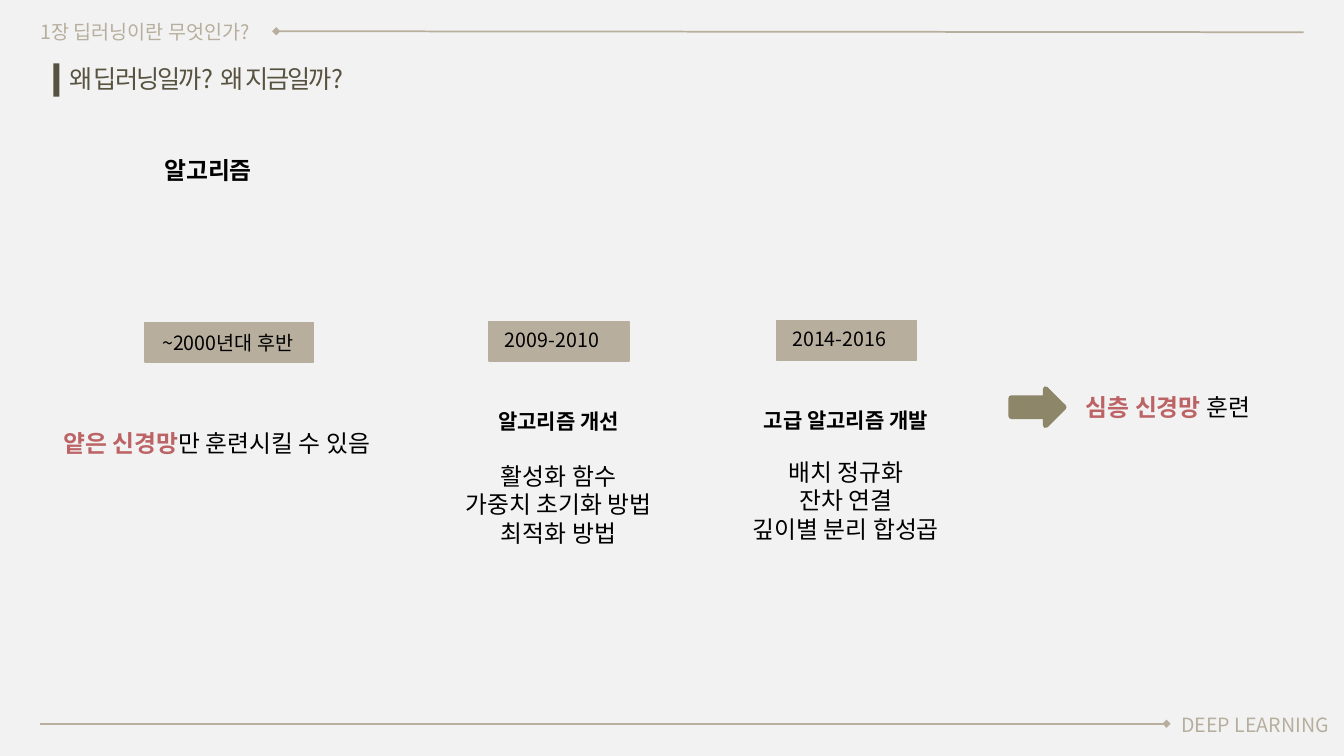
from lxml import etree
from pptx import Presentation
from pptx import util as u
from pptx.dml.color import RGBColor
from pptx.enum import shapes, text
from pptx.oxml.ns import qn

PAPER = RGBColor(0xF2, 0xF2, 0xF2)
SAND = RGBColor(0xB7, 0xAE, 0x9D)
BROWN = RGBColor(0x58, 0x53, 0x40)
BAR = RGBColor(0x57, 0x51, 0x41)
OLIVE = RGBColor(0x8D, 0x86, 0x69)
ROSE = RGBColor(0xBC, 0x63, 0x65)
BLACK = RGBColor(0, 0, 0)

FONT = "Noto Sans CJK KR"
COLUMNS, ROWS = 133.3, 75
CENTER = text.PP_ALIGN.CENTER


class SlideBuilder:
    """Draws on one slide; lengths are columns and rows of its grid."""

    def __init__(self, deck):
        self.column = deck.slide_width / COLUMNS
        self.row = deck.slide_height / ROWS
        self.page = deck.slides.add_slide(deck.slide_layouts[6])
        self.page.background.fill.solid()
        self.page.background.fill.fore_color.rgb = PAPER

    def place(self, *lengths):
        """Turn alternating columns and rows into slide units."""
        units = (self.column, self.row) * 2
        return [u.Emu(round(length * unit)) for length, unit in zip(lengths, units)]

    def span(self, para, words, size, color=BLACK, bold=False, spacing=None):
        run = para.add_run()
        run.text = words
        run.font.color.rgb = color
        for name, value in {"name": FONT, "size": u.Pt(size), "bold": bold}.items():
            setattr(run.font, name, value)
        properties = run.font._element
        etree.SubElement(properties, qn("a:ea")).set("typeface", FONT)
        if spacing is not None:
            properties.set("spc", str(round(spacing * 100)))

    def text(self, place, paragraphs, align=None, wrap=True, gap=0):
        """Each paragraph is a list of span arguments; gap follows the first one."""
        frame = self.page.shapes.add_textbox(*self.place(*place)).text_frame
        frame.word_wrap = wrap
        frame.auto_size = text.MSO_AUTO_SIZE.SHAPE_TO_FIT_TEXT
        for index, spans in enumerate(paragraphs):
            para = frame.paragraphs[0] if index == 0 else frame.add_paragraph()
            para.alignment = align
            if index == 1:
                para.space_before = u.Pt(gap)
            for span in spans:
                self.span(para, **span)

    def shape(self, kind, place, color, outline=0):
        shape = self.page.shapes.add_shape(kind, *self.place(*place))
        shape.shadow.inherit = False
        shape.fill.solid()
        shape.fill.fore_color.rgb = color
        if outline:
            shape.line.color.rgb = color
            shape.line.width = u.Pt(outline)
        else:
            shape.line.fill.background()

    def rule(self, start, end, diamond):
        """diamond is headEnd or tailEnd, the end that carries the mark."""
        rule = self.page.shapes.add_connector(
            shapes.MSO_CONNECTOR.STRAIGHT, *self.place(*start, *end))
        rule.line.color.rgb = SAND
        rule.line.width = u.Pt(1.25)
        etree.SubElement(rule.line._get_or_add_ln(), qn(f"a:{diamond}")).set("type", "diamond")
        etree.SubElement(rule._element.spPr, qn("a:effectLst"))

    def period(self, bar, label, words):
        self.shape(shapes.MSO_SHAPE.RECTANGLE, bar, SAND, outline=1)
        self.text(label, [[dict(words=words, size=14)]])

    def advance(self, left, top, years, heading, methods, gap):
        """A period with a heading and its methods centred below."""
        self.period((left, top, 13.9, 3.9), (left + 0.6, top + 0.1, 12.4, 3.3), years)
        lines = [[dict(words=heading, size=15, bold=True)]]
        lines += [[dict(words=method, size=17)] for method in methods]
        self.text((left - 4.8, top + 8.1, 23.4, 14.8), lines, CENTER, gap=gap)


def main():
    deck = Presentation()
    deck.slide_width, deck.slide_height = u.Inches(13.33), u.Inches(7.5)
    slide = SlideBuilder(deck)

    slide.rule((27.4, 3.1), (129.3, 3.2), "headEnd")
    slide.rule((4, 71.8), (115.7, 71.8), "tailEnd")
    slide.text((3, 1.5, 24.4, 3.2),
               [[dict(words="1장 딥러닝이란 무엇인가?", size=14, color=SAND)]], wrap=False)
    slide.text((115.6, 70.2, 17.8, 3.3),
               [[dict(words="DEEP LEARNING", size=14, color=SAND)]], CENTER, wrap=False)

    title = dict(size=18, color=BROWN)
    slide.text((5.9, 5.8, 31, 4), [[
        dict(words="왜 딥러닝일까?", spacing=-1.5, **title),
        dict(words=" ", spacing=1, **title),
        dict(words="왜 지금일까?", spacing=-1.5, **title)]], wrap=False)
    slide.shape(shapes.MSO_SHAPE.RECTANGLE, (5.3, 6.3, 0.6, 3.3), BAR)
    slide.text((15.3, 15, 12, 3.8), [[dict(words="알고리즘", size=17, bold=True)]])

    slide.period((14.4, 32, 16.7, 3.9), (15.1, 32.3, 16.1, 3.2), "~2000년대 후반")
    slide.text((5.3, 42, 36.5, 3.8), [[
        dict(words="얕은 신경망", size=17, color=ROSE, bold=True),
        dict(words="만 훈련시킬 수 있음", size=17)]])

    slide.advance(48.5, 31.9, "2009-2010", "알고리즘 개선",
                  ("활성화 함수", "가중치 초기화 방법", "최적화 방법"), gap=20)
    slide.advance(77, 31.8, "2014-2016", "고급 알고리즘 개발",
                  ("배치 정규화", "잔차 연결", "깊이별 분리 합성곱"), gap=18)

    slide.shape(shapes.MSO_SHAPE.RIGHT_ARROW, (100.3, 38.6, 5.2, 3.6), OLIVE, outline=4)
    slide.text((106.7, 38.5, 20.9, 3.8), [[
        dict(words="심층 신경망", size=17, color=ROSE, bold=True),
        dict(words=" 훈련", size=17)]])

    deck.save("out.pptx")


if __name__ == "__main__":
    main()
